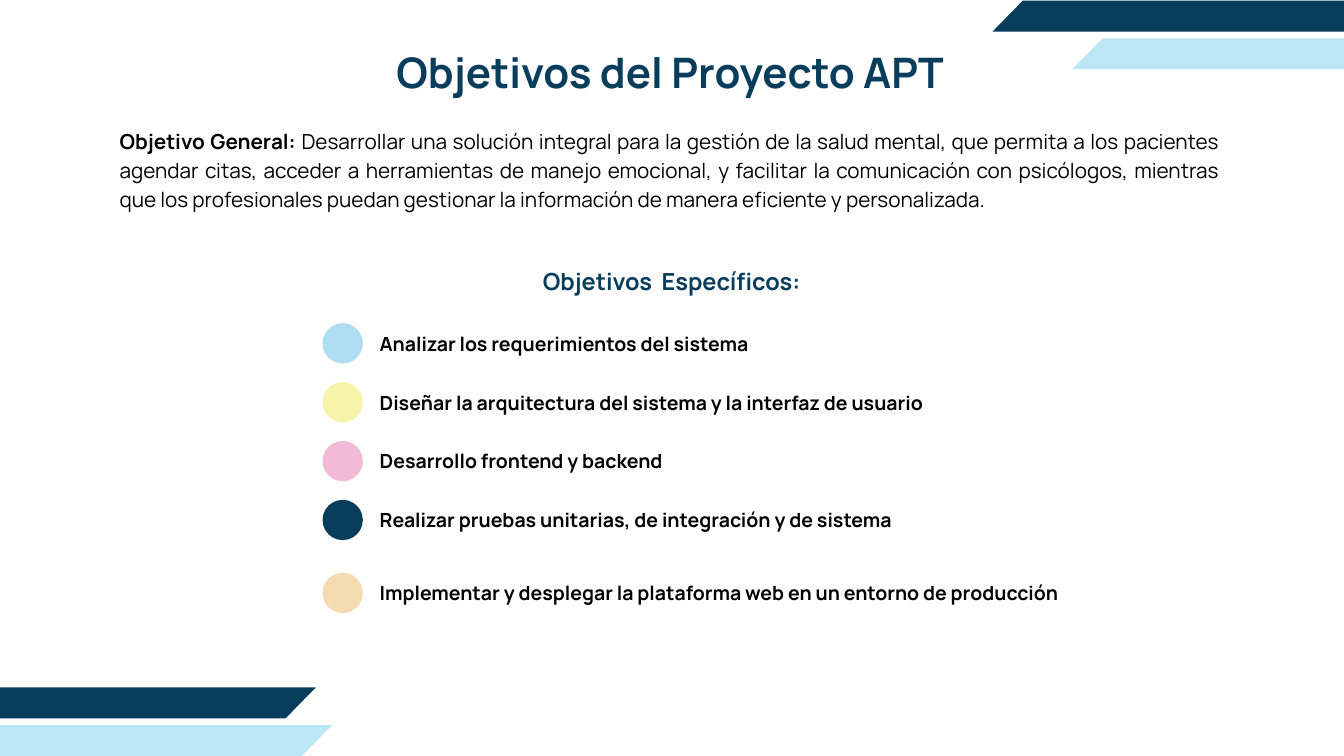
from pptx import Presentation
from pptx.dml.color import RGBColor
from pptx.enum.shapes import MSO_SHAPE as Shape
from pptx.enum.text import MSO_ANCHOR as Anchor, MSO_AUTO_SIZE as AutoSize, PP_ALIGN as Align
from pptx.util import Inches, Pt

WIDTH, HEIGHT = 20, 11.25
FONT = "Manrope"
NAVY, SKY, BLACK = "083D5C", "BAE6F6", "000000"

TITLE = "Objetivos del Proyecto APT"
GENERAL = [
    ("Objetivo General: ", True),
    ("Desarrollar una solución integral para la gestión de la salud mental, que permita a los "
     "pacientes agendar citas, acceder a herramientas de manejo emocional, y facilitar la "
     "comunicación con psicólogos, mientras que los profesionales puedan gestionar la "
     "información de manera eficiente y personalizada.", False),
]
SUBTITLE = "Objetivos  Específicos:"
OBJECTIVES = [
    ("Analizar los requerimientos del sistema", "AFDEF3"),
    ("Diseñar la arquitectura del sistema y la interfaz de usuario", "F8F3AB"),
    ("Desarrollo frontend y backend", "F2BAD6"),
    ("Realizar pruebas unitarias, de integración y de sistema", NAVY),
    ("Implementar y desplegar la plataforma web en un entorno de producción", "F6DBB1"),
]
BANDS = [(14.77, 0.01, NAVY), (15.96, 0.57, SKY), (-1.13, 10.23, NAVY), (-0.89, 10.79, SKY)]

BAND_WIDTH, BAND_HEIGHT, BAND_SLANT = 5.83, 0.46, 0.45
DOT_LEFT, DOT_TOP, DOT_SIZE = 4.8, 4.81, 0.6
ROW_PITCH, LAST_ROW_GAP = 0.876, 0.21
LABEL_LEFT, LABEL_DROP = 5.65, 0.07


def color(value):
    """Turn a hex string into a colour."""
    return RGBColor.from_string(value)


def write(shape, box, runs, size, line, fill=BLACK, align=Align.LEFT):
    """Place a text shape and fill it with one paragraph of (text, bold) runs."""
    shape.left, shape.top, shape.width, shape.height = map(Inches, box)
    frame = shape.text_frame
    frame.margin_left = frame.margin_top = frame.margin_right = frame.margin_bottom = 0
    frame.word_wrap = True
    frame.auto_size = AutoSize.NONE
    frame.vertical_anchor = Anchor.TOP
    paragraph = frame.paragraphs[0]
    paragraph.alignment = align
    paragraph.line_spacing = Pt(line)
    paragraph.font.name = FONT
    paragraph.font.size = Pt(size)
    paragraph.font.color.rgb = color(fill)
    for text, bold in runs:
        run = paragraph.add_run()
        run.text = text
        run.font.bold = bold


def add_filled(slide, kind, box, fill):
    """Add a plain filled shape without line or shadow."""
    shape = slide.shapes.add_shape(kind, *map(Inches, box))
    shape.shadow.inherit = False
    shape.fill.solid()
    shape.fill.fore_color.rgb = color(fill)
    shape.line.fill.background()
    return shape


def add_text(slide, box, *style, **options):
    """Add a text box and write into it."""
    write(slide.shapes.add_textbox(0, 0, 0, 0), box, *style, **options)


def main():
    """Build the slide and save it."""
    presentation = Presentation()
    presentation.slide_width, presentation.slide_height = Inches(WIDTH), Inches(HEIGHT)
    slide = presentation.slides.add_slide(presentation.slide_layouts[5])

    write(slide.shapes.title, (4.55, 0.75, 10.84, 0.75), [(TITLE, True)], 45, 49.5,
          fill=NAVY, align=Align.CENTER)
    add_text(slide, (1.78, 1.85, 16.37, 1.72), GENERAL, 22.2, 31.1, align=Align.JUSTIFY)
    add_text(slide, (7.97, 3.9, 4.05, 0.49), [(SUBTITLE, True)], 25.2, 35.2,
             fill=NAVY, align=Align.CENTER)

    for row, (label, fill) in enumerate(OBJECTIVES):
        top = DOT_TOP + row * ROW_PITCH
        if row == len(OBJECTIVES) - 1:
            top += LAST_ROW_GAP
        add_filled(slide, Shape.OVAL, (DOT_LEFT, top, DOT_SIZE, DOT_SIZE), fill)
        add_text(slide, (LABEL_LEFT, top + LABEL_DROP, 11.37, 0.4), [(label, True)], 20.9, 29.2)

    for left, top, fill in BANDS:
        band = add_filled(slide, Shape.PARALLELOGRAM, (left, top, BAND_WIDTH, BAND_HEIGHT), fill)
        band.adjustments[0] = BAND_SLANT / BAND_HEIGHT

    presentation.save("out.pptx")


if __name__ == "__main__":
    main()
